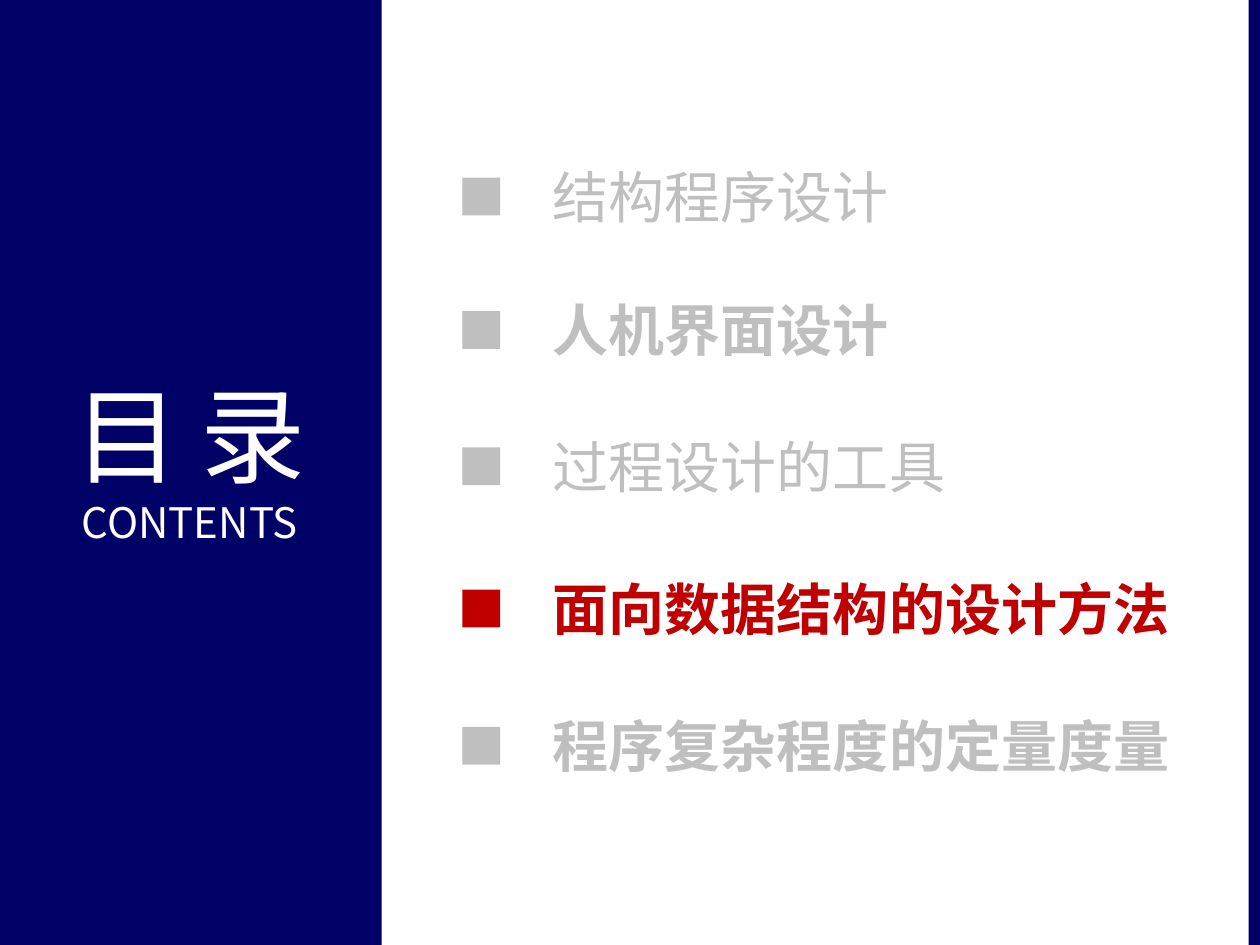
from dataclasses import dataclass

from lxml.etree import SubElement
from pptx import Presentation
from pptx.dml.color import RGBColor
from pptx.enum.shapes import MSO_SHAPE
from pptx.enum.text import MSO_ANCHOR, MSO_AUTO_SIZE, PP_ALIGN
from pptx.oxml.ns import qn
from pptx.shapes.autoshape import Shape
from pptx.slide import Slide
from pptx.text.text import _Paragraph
from pptx.util import Inches, Pt

NAVY = RGBColor(0x00, 0x00, 0x66)
WHITE = RGBColor(0xFF, 0xFF, 0xFF)
GREY = RGBColor(0xBF, 0xBF, 0xBF)
RED = RGBColor(0xC0, 0x00, 0x00)
FONT = "Noto Sans CJK SC"


@dataclass
class Topic:
    """One line of the contents list."""

    text: str
    top: float
    bold: bool = False
    color: RGBColor = GREY


TOPICS = [
    Topic("结构程序设计", 1.24),
    Topic("人机界面设计", 2.3, bold=True),
    Topic("过程设计的工具", 3.38),
    Topic("面向数据结构的设计方法", 4.51, bold=True, color=RED),
    Topic("程序复杂程度的定量度量", 5.6, bold=True),
]


def add_block(page: Slide, left: float, top: float, width: float, height: float, color: RGBColor) -> Shape:
    """Add a plain filled rectangle."""
    block = page.shapes.add_shape(
        MSO_SHAPE.RECTANGLE, Inches(left), Inches(top), Inches(width), Inches(height)
    )
    block.shadow.inherit = False
    block.fill.solid()
    block.fill.fore_color.rgb = color
    block.line.fill.background()
    return block


def style(para: _Paragraph, size: int, color: RGBColor, bold: bool = False) -> None:
    """Set the font of a paragraph for Latin and East Asian text."""
    font = para.font
    font.size = Pt(size)
    font.bold = bold
    font.name = FONT
    font.color.rgb = color
    SubElement(font._rPr, qn("a:ea"), typeface=FONT)


def add_heading(page: Slide, panel: Shape) -> None:
    """Place the two-line title on top of the side panel."""
    title = page.shapes.title
    title.left, title.top = Inches(-0.02), Inches(2.89)
    title.width, title.height = Inches(3.05), Inches(1.72)
    panel.element.addnext(title.element)
    frame = title.text_frame
    frame.text = "目录\nCONTENTS"
    frame.word_wrap = True
    frame.auto_size = MSO_AUTO_SIZE.NONE
    frame.vertical_anchor = MSO_ANCHOR.TOP
    for para, size in zip(frame.paragraphs, (60, 24)):
        para.alignment = PP_ALIGN.CENTER
        style(para, size, WHITE)
    frame.paragraphs[0].runs[0].font._rPr.set("spc", "1200")


def add_topic(page: Slide, topic: Topic) -> None:
    """Add a square marker and the topic beside it."""
    add_block(page, 3.67, topic.top + 0.17, 0.3, 0.3, topic.color)
    box = page.shapes.add_textbox(Inches(4.29), Inches(topic.top), Inches(5.53), Inches(0.64))
    frame = box.text_frame
    frame.word_wrap = True
    frame.text = topic.text
    style(frame.paragraphs[0], 32, topic.color, topic.bold)


def main() -> None:
    """Build the contents slide."""
    deck = Presentation()
    deck.slide_width, deck.slide_height = Inches(10), Inches(7.5)
    page = deck.slides.add_slide(deck.slide_layouts[5])
    panel = add_block(page, -0.02, 0, 3.05, 7.5, NAVY)
    add_heading(page, panel)
    add_block(page, 9.91, 0, 0.09, 7.5, NAVY)
    for topic in TOPICS:
        add_topic(page, topic)
    deck.save("out.pptx")


if __name__ == "__main__":
    main()
